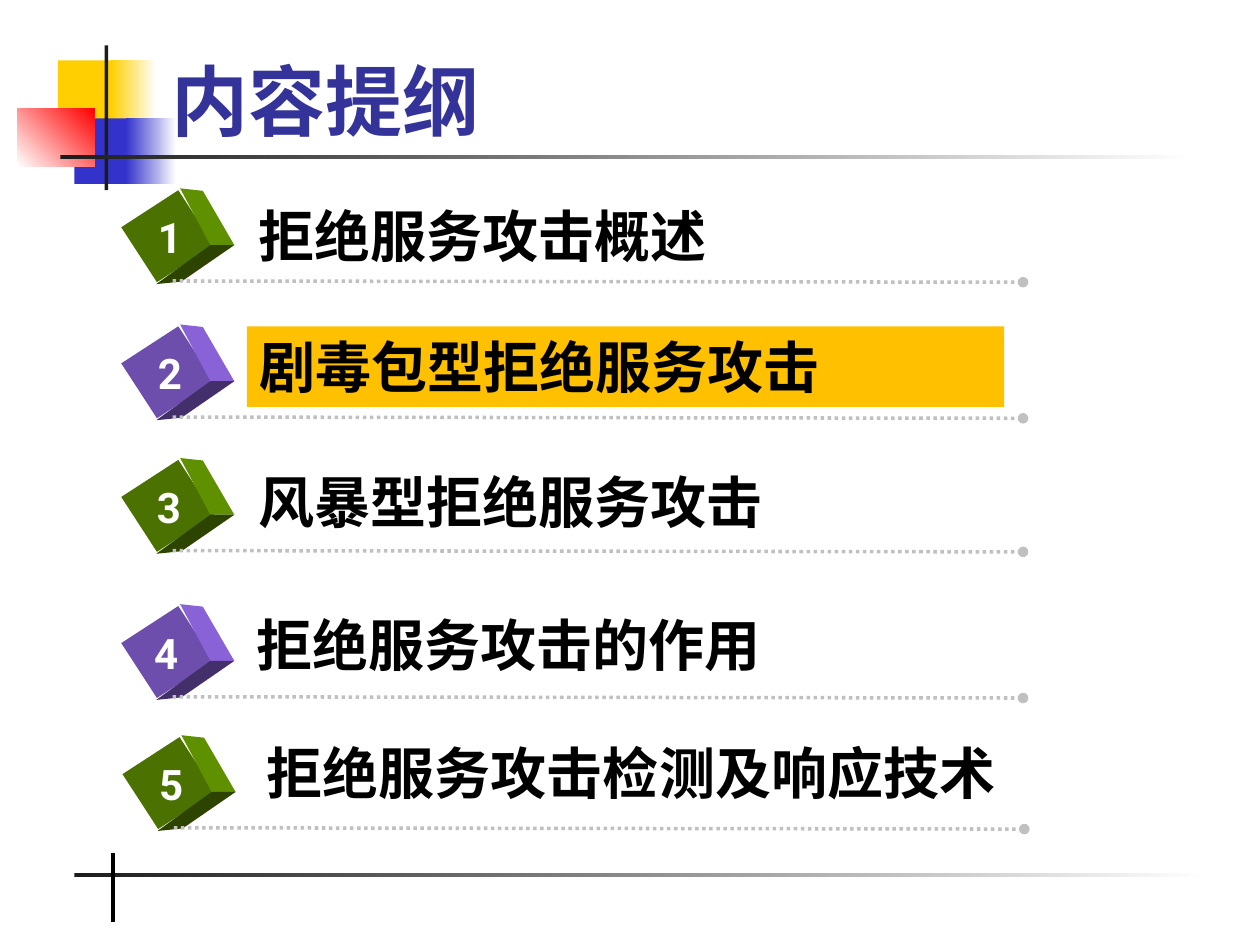
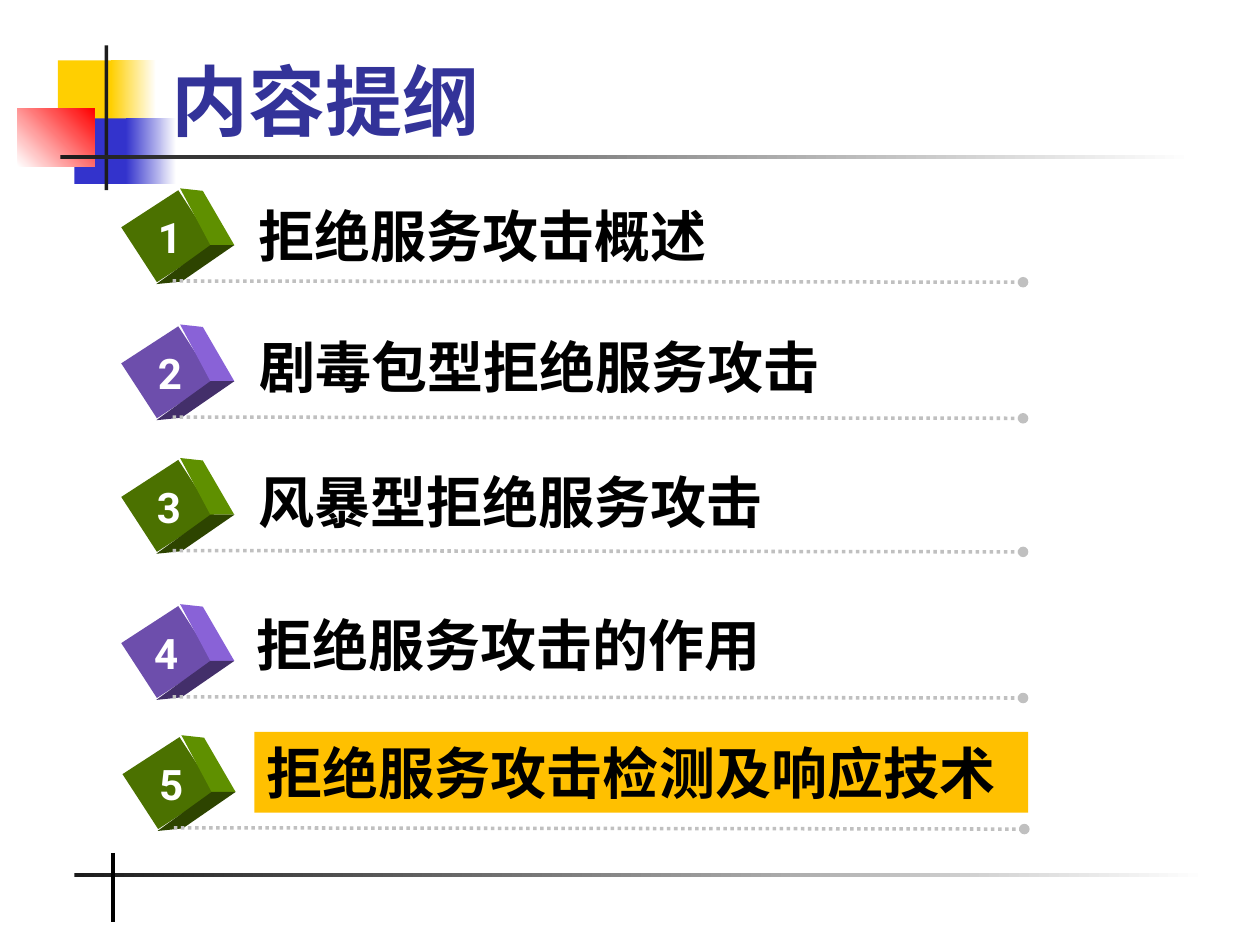
from dataclasses import dataclass
from typing import NamedTuple

from lxml.etree import SubElement
from pptx import Presentation
from pptx.dml.color import RGBColor
from pptx.enum.dml import MSO_LINE
from pptx.enum.shapes import MSO_CONNECTOR, MSO_SHAPE
from pptx.enum.text import MSO_ANCHOR, PP_ALIGN
from pptx.oxml.ns import qn
from pptx.util import Inches, Pt


class CubeColors(NamedTuple):
    front: str
    side: str
    base: str


@dataclass(frozen=True)
class Theme:
    title_font: str = "Times New Roman"
    body_font: str = "Roboto"
    title_size: int = 44
    topic_size: int = 32
    number_size: int = 24
    title: str = "333399"
    text: str = "000000"
    white: str = "FFFFFF"
    yellow: str = "FFCF01"
    blue: str = "3333CC"
    red: str = "FF0000"
    rule: str = "1C1C1C"
    dots: str = "C0C0C0"
    highlight: str = "FFC000"
    cubes: tuple = (
        CubeColors("4B7100", "5F9000", "2D4400"),
        CubeColors("6D4EAC", "8962D7", "432F6A"),
    )


class Topic(NamedTuple):
    text: str
    cube_left: float
    cube_top: float
    number_center: float
    label: tuple


TITLE = "内容提纲"
TOPICS = (
    Topic("拒绝服务攻击概述", 1.07, 1.59, 1.35, (1.95, 1.55, 6.26, 0.63)),
    Topic("剧毒包型拒绝服务攻击", 1.07, 2.67, 1.35, (1.96, 2.59, 6.01, 0.64)),
    Topic("风暴型拒绝服务攻击", 1.07, 3.73, 1.34, (1.95, 3.66, 6.17, 0.63)),
    Topic("拒绝服务攻击的作用", 1.07, 4.89, 1.32, (1.94, 4.8, 6.14, 0.64)),
    Topic("拒绝服务攻击检测及响应技术", 1.08, 5.93, 1.36, (2.02, 5.81, 6.14, 0.64)),
)
HIGHLIGHTED_TOPICS = (2, 5)

# Cube geometry, with face corners measured from the centre of the front face
FRONT_WIDTH, FRONT_HEIGHT, FRONT_ROTATION = 0.52, 0.54, 57
CENTER_X, CENTER_Y = 0.26, 0.285
SIDE_FACE = ((0.1, -0.38), (0.28, -0.36), (0.53, 0.07), (0.34, 0.07))
BASE_FACE = ((-0.09, 0.38), (0.34, 0.07), (0.53, 0.07), (0.11, 0.36))


def set_attributes(target, values):
    for name, value in values.items():
        setattr(target, name, value)


def rgb(color):
    return RGBColor.from_string(color)


class SlideBuilder:
    """Draws elements on the current slide in the style of the theme."""

    def __init__(self, presentation, theme):
        self.presentation = presentation
        self.theme = theme
        self.slide = None

    def new_slide(self):
        layout = self.presentation.slide_layouts[6]
        self.slide = self.presentation.slides.add_slide(layout)

    def finish(self, shape, color, end_color=None, angle=0):
        """Fill with one colour, or with a gradient, without line or shadow."""
        shape.shadow.inherit = False
        shape.line.fill.background()
        if end_color is None:
            shape.fill.solid()
            shape.fill.fore_color.rgb = rgb(color)
            return
        shape.fill.gradient()
        shape.fill.gradient_angle = angle
        for stop, stop_color in zip(shape.fill.gradient_stops, (color, end_color)):
            stop.color.rgb = rgb(stop_color)

    def rectangle(self, box, color, end_color=None, angle=0):
        shape = self.slide.shapes.add_shape(MSO_SHAPE.RECTANGLE, *map(Inches, box))
        self.finish(shape, color, end_color, angle)
        return shape

    def polygon(self, points, color):
        corners = [(Inches(x), Inches(y)) for x, y in points]
        builder = self.slide.shapes.build_freeform(*corners[0])
        builder.add_line_segments(corners[1:], close=True)
        self.finish(builder.convert_to_shape(), color)

    def line(self, start, end, color, width, dotted=False):
        """Draw a straight line; a dotted one ends in a round dot."""
        connector = self.slide.shapes.add_connector(
            MSO_CONNECTOR.STRAIGHT, *map(Inches, start + end))
        connector.line.color.rgb = rgb(color)
        connector.line.width = Pt(width)
        properties = connector._element.spPr
        if dotted:
            connector.line.dash_style = MSO_LINE.ROUND_DOT
            SubElement(properties.find(qn("a:ln")), qn("a:tailEnd"), type="oval")
        SubElement(properties, qn("a:effectLst"))

    def text(self, text, box, font, size, color, fill=None,
             align=PP_ALIGN.LEFT, anchor=MSO_ANCHOR.TOP, wrap=True):
        if fill:
            shape = self.rectangle(box, fill)
        else:
            shape = self.slide.shapes.add_textbox(*map(Inches, box))
        set_attributes(shape.text_frame, {"word_wrap": wrap, "vertical_anchor": anchor})
        paragraph = shape.text_frame.paragraphs[0]
        paragraph.alignment = align
        run = paragraph.add_run()
        run.text = text
        set_attributes(run.font, {"name": font, "size": Pt(size), "bold": True})
        run.font.color.rgb = rgb(color)

    def cube(self, left, top, colors):
        center_x, center_y = left + CENTER_X, top + CENTER_Y
        front = self.rectangle(
            (center_x - FRONT_WIDTH / 2, center_y - FRONT_HEIGHT / 2,
             FRONT_WIDTH, FRONT_HEIGHT), colors.front)
        front.rotation = FRONT_ROTATION
        for face, color in ((SIDE_FACE, colors.side), (BASE_FACE, colors.base)):
            self.polygon([(center_x + x, center_y + y) for x, y in face], color)

    def frame(self):
        """Draw the corner blocks, the rules and the title."""
        theme = self.theme
        self.rectangle((0.46, 0.48, 0.48, 0.52), theme.yellow)
        self.rectangle((0.88, 0.48, 0.36, 0.52), theme.yellow, theme.white)
        self.rectangle((0.59, 0.94, 0.46, 0.52), theme.blue)
        self.rectangle((1, 0.94, 0.4, 0.52), theme.blue, theme.white)
        self.rectangle((0.14, 0.86, 0.61, 0.46), theme.white, theme.red, angle=45)
        self.rectangle((0.83, 0.36, 0.03, 1.15), theme.rule)
        for left, top in ((0.48, 1.23), (0.59, 6.93)):
            self.rectangle((left, top, 9, 0.03), theme.rule, theme.white)
        self.line((0.9, 6.77), (0.9, 7.32), theme.text, 2.25)
        self.text(TITLE, (1.26, 0.16, 8.52, 1.05), theme.title_font,
                  theme.title_size, theme.title, anchor=MSO_ANCHOR.BOTTOM)

    def topic(self, number, topic, highlighted):
        theme = self.theme
        left, top = topic.cube_left, topic.cube_top
        self.cube(left, top, theme.cubes[(number - 1) % 2])
        self.line((left + 0.3, top + 0.64), (left + 7.05, top + 0.65),
                  theme.dots, 2, dotted=True)
        self.text(str(number), (topic.number_center - 0.2, top + 0.04, 0.4, 0.5),
                  theme.body_font, theme.number_size, theme.white,
                  align=PP_ALIGN.CENTER, wrap=False)
        self.text(topic.text, topic.label, theme.body_font, theme.topic_size,
                  theme.text, fill=theme.highlight if highlighted else None)


def main():
    presentation = Presentation()
    set_attributes(presentation, {"slide_width": Inches(10), "slide_height": Inches(7.5)})
    builder = SlideBuilder(presentation, Theme())
    for highlighted in HIGHLIGHTED_TOPICS:
        builder.new_slide()
        builder.frame()
        for number, topic in enumerate(TOPICS, start=1):
            builder.topic(number, topic, number == highlighted)
    presentation.save("out.pptx")


if __name__ == "__main__":
    main()
